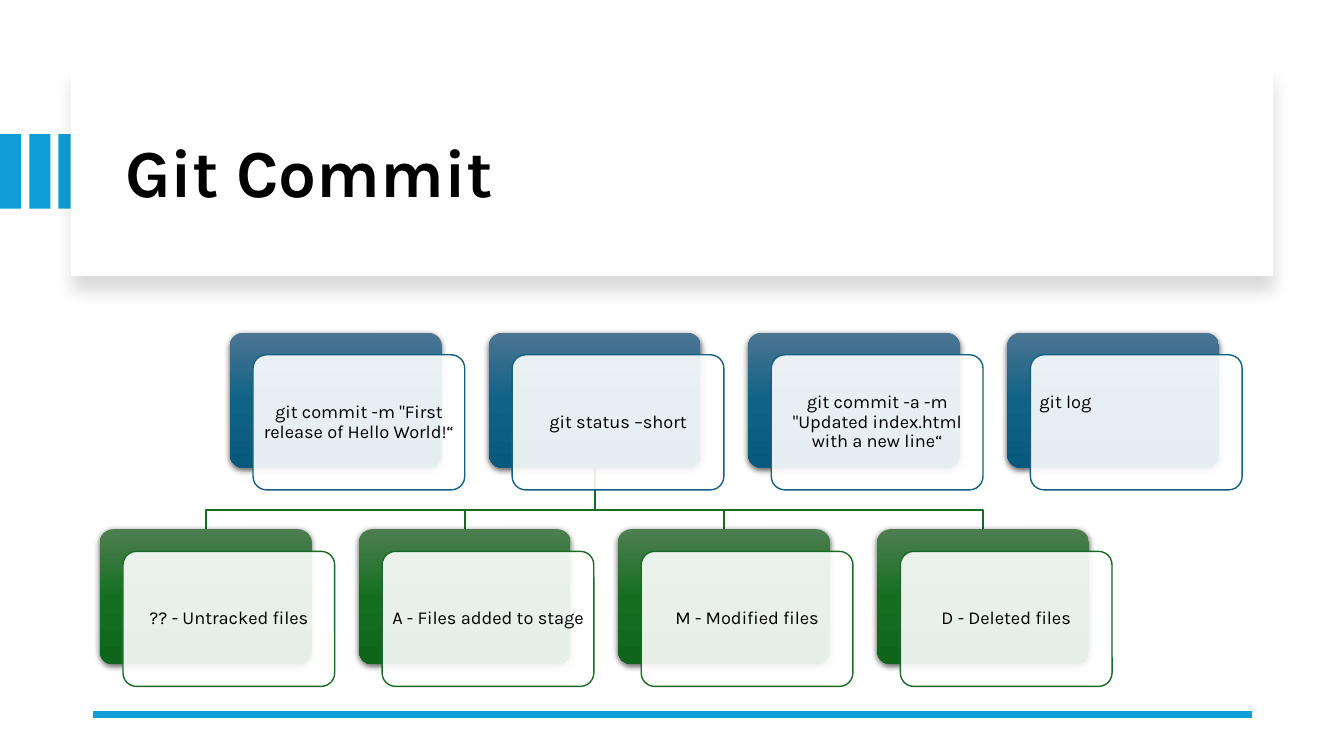
from dataclasses import dataclass

from lxml.etree import SubElement
from pptx import Presentation
from pptx.dml.color import RGBColor
from pptx.enum.shapes import MSO_CONNECTOR, MSO_SHAPE
from pptx.enum.text import MSO_ANCHOR, PP_ALIGN
from pptx.oxml.ns import qn
from pptx.util import Inches, Pt


@dataclass(frozen=True)
class Theme:
    font: str = "Karla"
    title_size: int = 48
    card_size: int = 13
    text: str = "000000"
    white: str = "FFFFFF"
    accent: str = "0F9ED5"
    blue: str = "156082"
    green: str = "196B24"
    blue_gradient: tuple = ("4C7591", "106287", "09597D")
    green_gradient: tuple = ("4D7E50", "156F21", "0F661B")


THEME = Theme()
CARD_WIDTH, CARD_HEIGHT = 2.1, 1.34
CARD_STEP = 2.57
COMMAND_LEFT, COMMAND_TOP = 2.28, 3.3
STATUS_LEFT, STATUS_TOP = 0.99, 5.25
COMMANDS = (
    'git commit -m "First release of Hello World!“',
    "git status –short",
    'git commit -a -m "Updated index.html with a new line“',
)
STATUSES = (
    "?? - Untracked files",
    "A - Files added to stage",
    "M - Modified files",
    "D - Deleted files",
)


def add_box(slide, left, top, width, height, fill=None, line=None, kind=MSO_SHAPE.RECTANGLE):
    shape = slide.shapes.add_shape(kind, Inches(left), Inches(top), Inches(width), Inches(height))
    shape.shadow.inherit = False
    if fill:
        shape.fill.solid()
        shape.fill.fore_color.rgb = RGBColor.from_string(fill)
    if line:
        shape.line.color.rgb = RGBColor.from_string(line)
        shape.line.width = Pt(1)
    else:
        shape.line.fill.background()
    return shape


def write_text(shape, text, size, bold=False, align=PP_ALIGN.CENTER, inset=None, bottom=None):
    frame = shape.text_frame
    frame.word_wrap = True
    frame.vertical_anchor = MSO_ANCHOR.MIDDLE
    if inset is not None:
        frame.margin_left = frame.margin_right = frame.margin_top = Inches(inset)
        frame.margin_bottom = Inches(inset if bottom is None else bottom)
    frame.text = text
    paragraph = frame.paragraphs[0]
    paragraph.alignment = align
    paragraph.line_spacing = 0.9
    paragraph.font.name = THEME.font
    paragraph.font.size = Pt(size)
    paragraph.font.bold = bold
    paragraph.font.color.rgb = RGBColor.from_string(THEME.text)


def add_shadow(shape, opacity, blur, distance):
    effects = shape.element.spPr.find(qn("a:effectLst"))
    shadow = SubElement(effects, qn("a:outerShdw"), blurRad=str(Pt(blur)), dist=str(Pt(distance)),
                        dir="5400000", algn="ctr", rotWithShape="0")
    color = SubElement(shadow, qn("a:srgbClr"), val=THEME.text)
    SubElement(color, qn("a:alpha"), val=str(opacity * 1000))


def fill_gradient(shape, colors):
    shape.fill.gradient()
    shape.fill.gradient_angle = 270
    stops = shape.element.spPr.find(qn("a:gradFill")).find(qn("a:gsLst"))
    for stop in list(stops):
        stops.remove(stop)
    for index, color in enumerate(colors):
        stop = SubElement(stops, qn("a:gs"), pos=str(index * 50000))
        SubElement(stop, qn("a:srgbClr"), val=color)


def add_card(slide, left, top, text, gradient, line, **text_format):
    rounded = MSO_SHAPE.ROUNDED_RECTANGLE
    back = add_box(slide, left, top, CARD_WIDTH, CARD_HEIGHT, kind=rounded)
    fill_gradient(back, gradient)
    add_shadow(back, opacity=63, blur=4.5, distance=1.5)
    front = add_box(slide, left + 0.23, top + 0.22, CARD_WIDTH, CARD_HEIGHT,
                    fill=THEME.white, line=line, kind=rounded)
    color = front.element.spPr.find(qn("a:solidFill")).find(qn("a:srgbClr"))
    SubElement(color, qn("a:alpha"), val="90000")
    for shape in (back, front):
        shape.adjustments[0] = 0.1
    write_text(front, text, THEME.card_size, inset=0.05, **text_format)


def add_branch(slide, start_x, end_x):
    start_y, turn_y = COMMAND_TOP + CARD_HEIGHT, 5.06
    builder = slide.shapes.build_freeform(Inches(start_x), Inches(start_y))
    corners = ((start_x, turn_y), (end_x, turn_y), (end_x, STATUS_TOP))
    builder.add_line_segments([(Inches(x), Inches(y)) for x, y in corners], close=False)
    branch = builder.convert_to_shape()
    branch.shadow.inherit = False
    branch.fill.background()
    branch.line.color.rgb = RGBColor.from_string(THEME.green)
    branch.line.width = Pt(1.5)


def add_rule(slide, left, right, y):
    rule = slide.shapes.add_connector(
        MSO_CONNECTOR.STRAIGHT, Inches(right), Inches(y), Inches(left), Inches(y))
    rule.line.color.rgb = RGBColor.from_string(THEME.accent)
    rule.line.width = Pt(4.5)
    SubElement(rule.element.spPr, qn("a:effectLst"))


def add_header(slide):
    for index in range(3):
        add_box(slide, index * 0.29, 1.33, 0.21, 0.74, fill=THEME.accent)
    panel = add_box(slide, 0.7, 0.67, 11.93, 2.07, fill=THEME.white)
    add_shadow(panel, opacity=15, blur=11, distance=10)
    title = slide.shapes.title
    title.left, title.top = Inches(1.14), Inches(0.89)
    title.width, title.height = Inches(11.13), Inches(1.7)
    write_text(title, "Git Commit", THEME.title_size, bold=True, align=PP_ALIGN.LEFT)
    panel.element.addnext(title.element)


def add_diagram(slide):
    trunk_x = COMMAND_LEFT + CARD_STEP + CARD_WIDTH / 2
    for index in range(len(STATUSES)):
        add_branch(slide, trunk_x, STATUS_LEFT + index * CARD_STEP + CARD_WIDTH / 2)
    for index, text in enumerate(COMMANDS):
        add_card(slide, COMMAND_LEFT + index * CARD_STEP, COMMAND_TOP, text,
                 THEME.blue_gradient, THEME.blue)
    for index, text in enumerate(STATUSES):
        add_card(slide, STATUS_LEFT + index * CARD_STEP, STATUS_TOP, text,
                 THEME.green_gradient, THEME.green)
    add_card(slide, COMMAND_LEFT + len(COMMANDS) * CARD_STEP, COMMAND_TOP, "git log",
             THEME.blue_gradient, THEME.blue, align=PP_ALIGN.LEFT, bottom=0.45)


def main():
    presentation = Presentation()
    presentation.slide_width = Inches(13.33)
    presentation.slide_height = Inches(7.5)
    slide = presentation.slides.add_slide(presentation.slide_layouts[5])
    add_header(slide)
    add_rule(slide, 0.92, 12.42, 7.09)
    add_diagram(slide)
    presentation.save("out.pptx")


if __name__ == "__main__":
    main()
